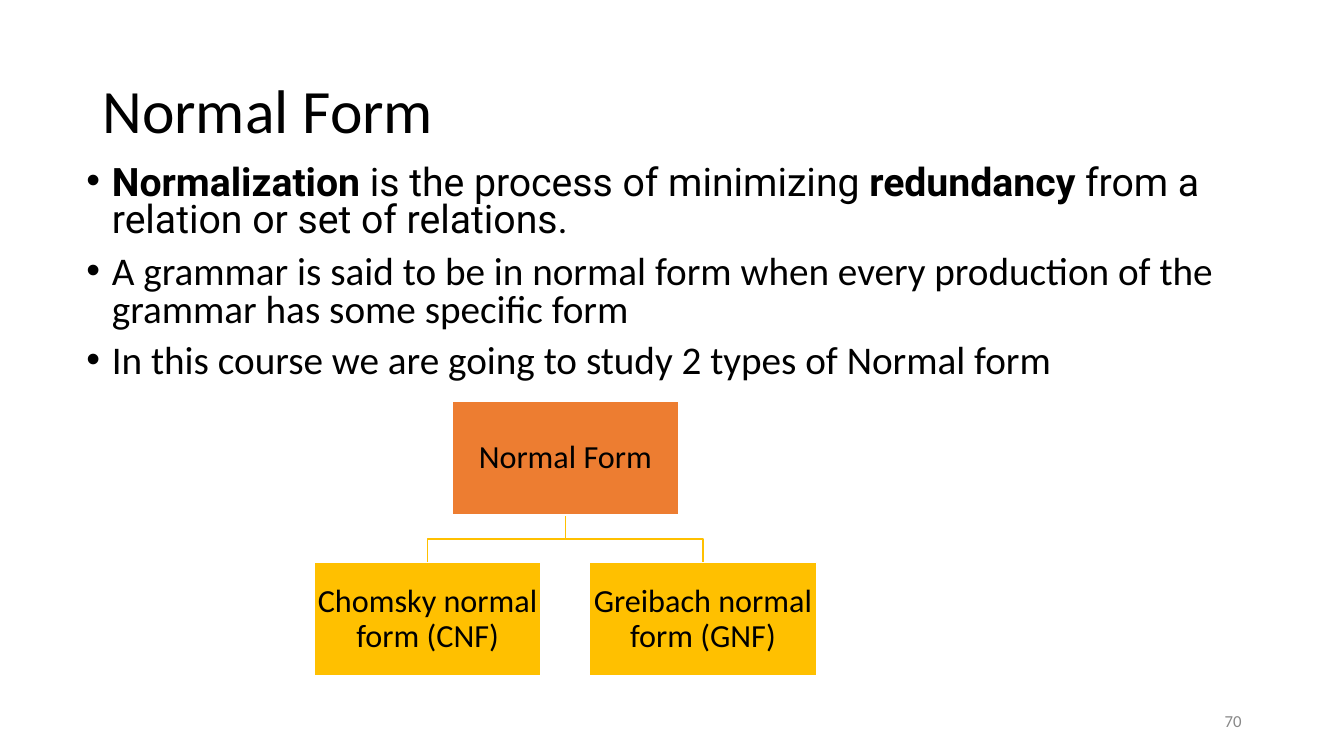
from lxml.etree import SubElement
from pptx import Presentation
from pptx.dml.color import RGBColor
from pptx.enum.shapes import MSO_SHAPE as Shape
from pptx.enum.text import MSO_ANCHOR as Anchor, PP_ALIGN as Align
from pptx.oxml.ns import qn
from pptx.util import Cm, Pt

BLACK, GREY, WHITE = "000000", "888888", "FFFFFF"
ORANGE, GOLD = "ED7D31", "FFC000"

POINTS = [
    ("Roboto", [("Normalization", True), (" is the process of minimizing ", False),
                ("redundancy", True), (" from a relation or set of relations.", False)]),
    ("Calibri", [("A grammar is said to be in normal form when every production "
                  "of the grammar has some specific form", False)]),
    ("Calibri", [("In this course we are going to study 2 types of Normal form", False)]),
]

BOX_WIDTH, BOX_HEIGHT = 5.72, 2.86
ROOT_CENTRE, ROOT_TOP = 14.25, 10.12
CHILD_OFFSET, CHILD_TOP = 3.47, 14.18
CHILDREN = ["Chomsky normal form (CNF)", "Greibach normal form (GNF)"]


def rgb(colour):
    return RGBColor.from_string(colour)


def style(run, size, colour=BLACK, font="Calibri", bold=False):
    run.font.name = font
    run.font.size = Pt(size)
    run.font.bold = bold
    run.font.color.rgb = rgb(colour)


def add_frame(slide, left, top, width, height, anchor=Anchor.MIDDLE):
    frame = slide.shapes.add_textbox(Cm(left), Cm(top), Cm(width), Cm(height)).text_frame
    frame.word_wrap = True
    frame.vertical_anchor = anchor
    return frame


def write(frame, text, size, colour=BLACK, align=Align.LEFT, spacing=0.9):
    frame.text = text
    line = frame.paragraphs[0]
    line.alignment = align
    line.line_spacing = spacing
    style(line.runs[0], size, colour)


def add_bullet(paragraph, indent=Cm(0.64)):
    properties = paragraph._p.get_or_add_pPr()
    properties.set("marL", str(indent))
    properties.set("indent", str(-indent))
    SubElement(properties, qn("a:buFont"), typeface="Arial")
    SubElement(properties, qn("a:buChar"), char="•")


def add_points(slide):
    frame = add_frame(slide, 1.93, 4.06, 29.21, 6.05, Anchor.TOP)
    for index, (font, pieces) in enumerate(POINTS):
        point = frame.add_paragraph() if index else frame.paragraphs[0]
        point.line_spacing = 0.8
        point.space_before = Pt(10 if index else 0)
        add_bullet(point)
        for text, bold in pieces:
            run = point.add_run()
            run.text = text
            style(run, 28, font=font, bold=bold)


def add_box(slide, text, centre, top, colour):
    box = slide.shapes.add_shape(Shape.RECTANGLE, Cm(centre - BOX_WIDTH / 2), Cm(top),
                                 Cm(BOX_WIDTH), Cm(BOX_HEIGHT))
    box.shadow.inherit = False
    box.fill.solid()
    box.fill.fore_color.rgb = rgb(colour)
    box.line.color.rgb = rgb(WHITE)
    box.line.width = Pt(1)
    frame = box.text_frame
    frame.word_wrap = True
    frame.vertical_anchor = Anchor.MIDDLE
    frame.margin_left = frame.margin_right = Cm(0.04)
    frame.margin_top = frame.margin_bottom = Cm(0.04)
    write(frame, text, 23, align=Align.CENTER)


def add_branch(slide, child_centre):
    """Draw the right-angled line from the root box down to a child box."""
    start = ROOT_TOP + BOX_HEIGHT
    middle = (start + CHILD_TOP) / 2
    corners = [(ROOT_CENTRE, middle), (child_centre, middle), (child_centre, CHILD_TOP)]
    builder = slide.shapes.build_freeform(Cm(ROOT_CENTRE), Cm(start))
    builder.add_line_segments([(Cm(x), Cm(y)) for x, y in corners], close=False)
    branch = builder.convert_to_shape()
    branch.shadow.inherit = False
    branch.fill.background()
    branch.line.color.rgb = rgb(GOLD)
    branch.line.width = Pt(1)


def add_tree(slide):
    centres = [ROOT_CENTRE - CHILD_OFFSET, ROOT_CENTRE + CHILD_OFFSET]
    for centre in centres:
        add_branch(slide, centre)
    add_box(slide, "Normal Form", ROOT_CENTRE, ROOT_TOP, ORANGE)
    for text, centre in zip(CHILDREN, centres):
        add_box(slide, text, centre, CHILD_TOP, GOLD)


def main():
    deck = Presentation()
    deck.slide_width, deck.slide_height = Cm(33.87), Cm(19.05)
    slide = deck.slides.add_slide(deck.slide_layouts[6])
    write(add_frame(slide, 2.33, 1.01, 29.21, 3.68), "Normal Form", 44)
    add_points(slide)
    add_tree(slide)
    write(add_frame(slide, 23.92, 17.66, 7.62, 1.01), "70", 12, GREY, Align.RIGHT, 1.0)
    deck.save("out.pptx")


if __name__ == "__main__":
    main()
